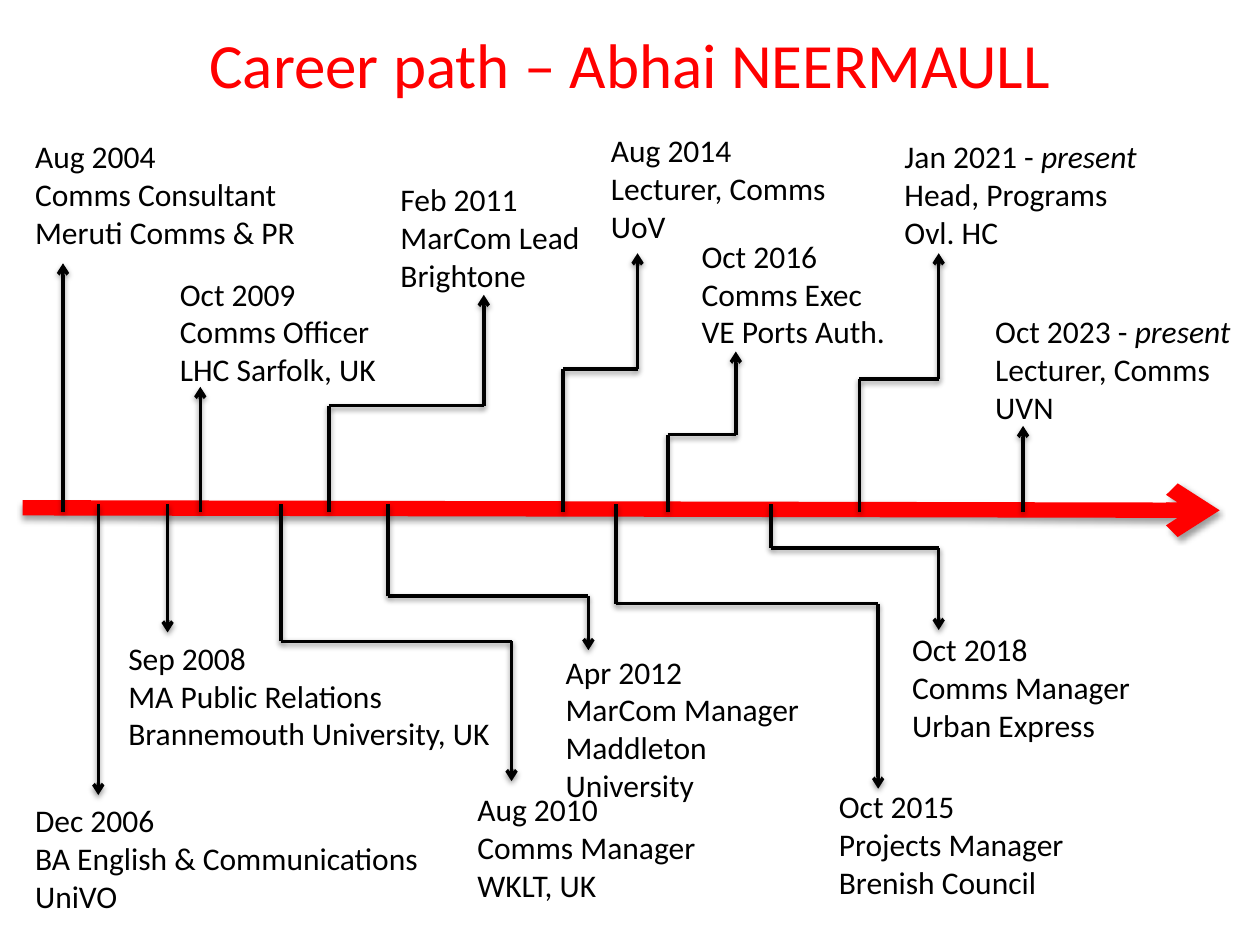
from dataclasses import dataclass

from lxml.etree import SubElement as Sub
from pptx import Presentation
from pptx.dml.color import RGBColor as RGB
from pptx.enum.shapes import MSO_CONNECTOR as Link
from pptx.enum.text import MSO_ANCHOR as Anchor
from pptx.enum.text import MSO_AUTO_SIZE as Fit
from pptx.enum.text import PP_ALIGN as Align
from pptx.oxml.ns import qn
from pptx.util import Inches, Pt


@dataclass(frozen=True)
class Theme:
    font: str = "Calibri"
    red: str = "FF0000"
    black: str = "000000"
    head: float = 36
    body: float = 18
    axis: float = 8.75
    stem: float = 2


def write(para, text, font, size, color, italic=False):
    run = para.add_run()
    run.text = text
    style = run.font
    style.name, style.size, style.italic = font, Pt(size), italic
    style.color.rgb = RGB.from_string(color)


class Board:
    """Draws a career timeline on one slide in a shared style."""

    def __init__(self, deck, theme):
        self.theme = theme
        self.slide = deck.slides.add_slide(deck.slide_layouts[5])

    def title(self, text):
        t = self.theme
        box = self.slide.shapes.title
        box.left, box.top = Inches(0.5), Inches(-0.03)
        box.width, box.height = Inches(9), Inches(1.07)
        frame = box.text_frame
        frame.vertical_anchor = Anchor.MIDDLE
        para = frame.paragraphs[0]
        para.alignment = Align.CENTER
        write(para, text, t.font, t.head, t.red)

    def note(self, lines, left, top, width):
        t = self.theme
        box = self.slide.shapes.add_textbox(
            Inches(left), Inches(top), Inches(width), Inches(1.01))
        frame = box.text_frame
        frame.word_wrap = False
        frame.auto_size = Fit.SHAPE_TO_FIT_TEXT
        for i, line in enumerate(lines):
            para = frame.add_paragraph() if i else frame.paragraphs[0]
            plain, now, _ = line.partition("present")
            write(para, plain, t.font, t.body, t.black)
            if now:
                write(para, now, t.font, t.body, t.black, italic=True)

    def line(self, start, end, color, width, arrow=False):
        ends = [Inches(v) for v in (*start, *end)]
        link = self.slide.shapes.add_connector(Link.STRAIGHT, *ends)
        link.line.color.rgb = RGB.from_string(color)
        link.line.width = Pt(width)
        prop = link._element.spPr
        if arrow:
            Sub(prop.find(qn("a:ln")), qn("a:tailEnd"), type="arrow")
        shade = Sub(Sub(prop, qn("a:effectLst")), qn("a:outerShdw"),
                    blurRad=str(Pt(3.1)), dist=str(Pt(1.6)),
                    dir="5400000", rotWithShape="0")
        tint = Sub(shade, qn("a:srgbClr"), val=self.theme.black)
        Sub(tint, qn("a:alpha"), val="38000")

    def axis(self, start, end):
        self.line(start, end, self.theme.red, self.theme.axis, arrow=True)

    def route(self, stem, bend, end, tip):
        base = 4.06 if tip < 4 else 4
        spots = [(stem, base), (end, tip)]
        if bend:
            spots[1:1] = [(stem, bend), (end, bend)]
        last = len(spots) - 2
        for i, (a, b) in enumerate(zip(spots, spots[1:])):
            self.line(a, b, self.theme.black, self.theme.stem, i == last)


STEPS = [
    (("Aug 2004", "Comms Consultant", "Meruti Comms & PR"),
     (0.18, 1.04, 2.31), (0.5, None, 0.5, 2.09)),
    (("Dec 2006", "BA English & Communications", "UniVO"),
     (0.18, 6.31, 3.28), (0.78, None, 0.78, 6.31)),
    (("Sep 2008", "MA Public Relations", "Brannemouth University, UK"),
     (0.92, 5.02, 3.14), (1.33, None, 1.33, 5.02)),
    (("Oct 2009", "Comms Officer", "LHC Sarfolk, UK"),
     (1.33, 2.13, 1.86), (1.59, None, 1.59, 3.07)),
    (("Aug 2010", "Comms Manager", "WKLT, UK"),
     (3.69, 6.22, 1.95), (2.23, 5.09, 4.06, 6.2)),
    (("Feb 2011", "MarCom Lead", "Brightone"),
     (3.08, 1.38, 1.64), (2.61, 3.22, 3.84, 2.34)),
    (("Apr 2012", "MarCom Manager", "Maddleton University"),
     (4.39, 5.13, 2.35), (3.08, 4.73, 4.67, 5.16)),
    (("Aug 2014", "Lecturer, Comms", "UoV"),
     (4.75, 0.99, 2.19), (4.47, 2.93, 5.06, 2.01)),
    (("Oct 2015", "Projects Manager", "Brenish Council"),
     (6.56, 6.2, 2), (4.89, 4.79, 6.97, 6.26)),
    (("Oct 2016", "Comms Exec", "VE Ports Auth."),
     (5.47, 1.83, 1.78), (5.3, 3.45, 5.84, 2.79)),
    (("Oct 2018", "Comms Manager", "Urban Express"),
     (7.14, 4.95, 1.95), (6.12, 4.35, 7.45, 5)),
    (("Jan 2021 - present", "Head, Programs", "Ovl. HC"),
     (7.08, 1.04, 2.08), (6.82, 3.01, 7.45, 2.01)),
    (("Oct 2023 - present", "Lecturer, Comms", "UVN"),
     (7.8, 2.43, 2.09), (8.12, None, 8.12, 3.38)),
]


def main():
    deck = Presentation()
    deck.slide_width, deck.slide_height = Inches(10), Inches(7.5)
    board = Board(deck, Theme())
    board.title("Career path – Abhai NEERMAULL")
    board.axis((0.18, 4.03), (9.68, 4.05))
    for lines, place, track in STEPS:
        board.note(lines, *place)
        board.route(*track)
    deck.save("out.pptx")


if __name__ == "__main__":
    main()
